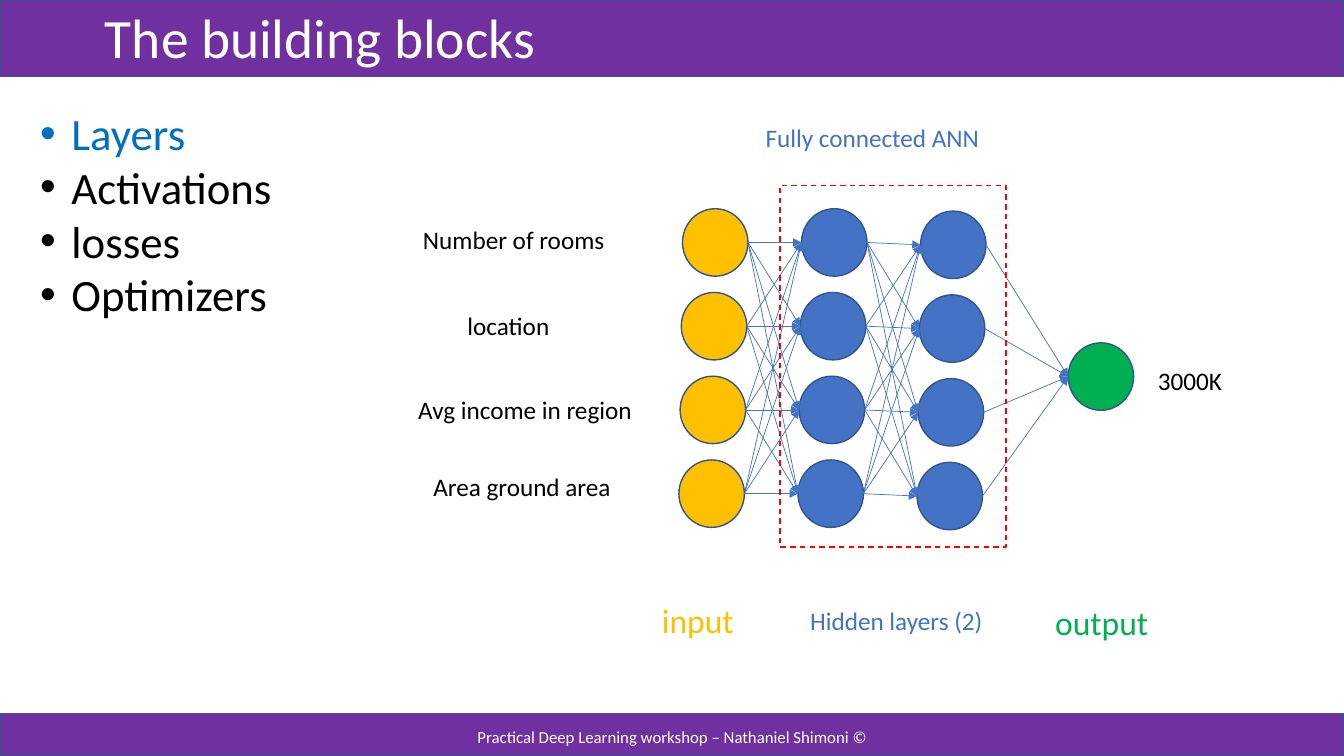
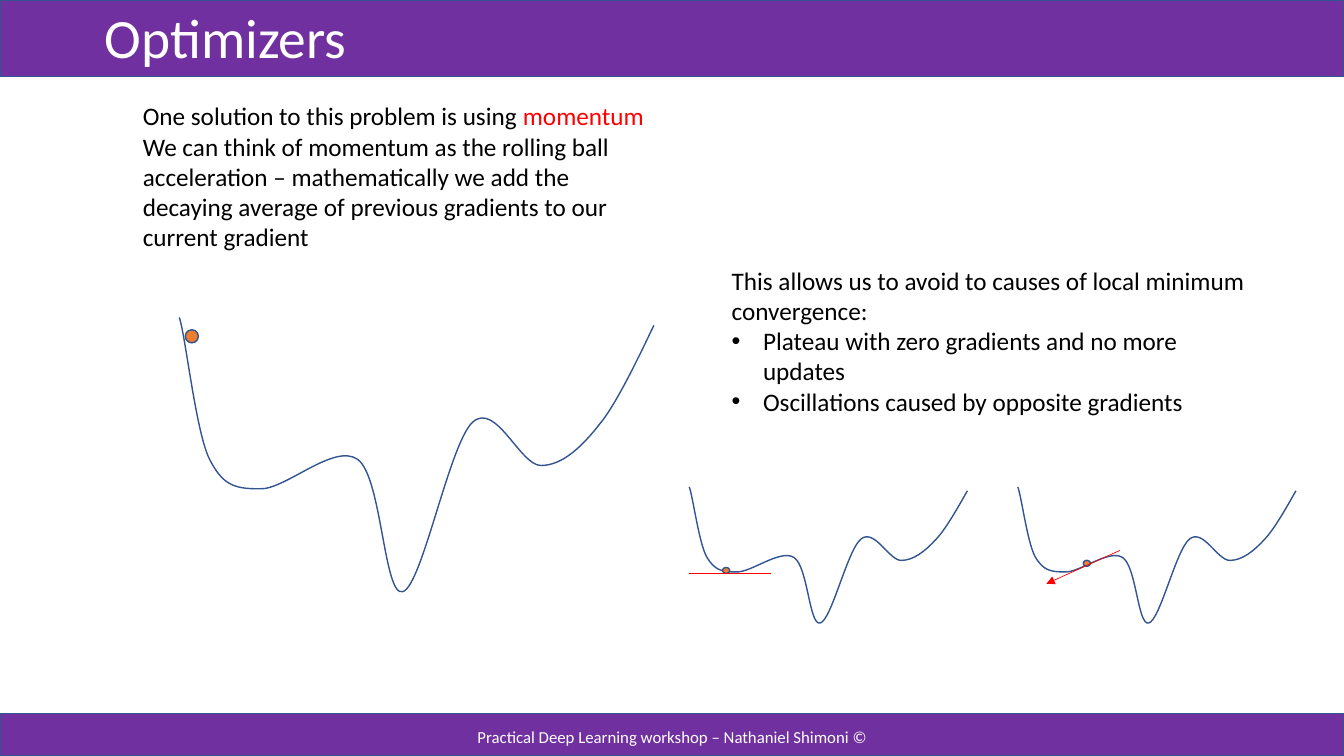
from itertools import pairwise, product

from lxml import etree
from pptx import Presentation
from pptx.dml.color import RGBColor
from pptx.enum.dml import MSO_LINE
from pptx.enum.shapes import MSO_CONNECTOR, MSO_SHAPE
from pptx.enum.text import MSO_ANCHOR, MSO_AUTO_SIZE, PP_ALIGN
from pptx.oxml.ns import qn
from pptx.util import Cm, Pt

RECT, OVAL = MSO_SHAPE.RECTANGLE, MSO_SHAPE.OVAL
STRAIGHT, DASH = MSO_CONNECTOR.STRAIGHT, MSO_LINE.DASH
LEFT, CENTER = PP_ALIGN.LEFT, PP_ALIGN.CENTER
TOP, MIDDLE = MSO_ANCHOR.TOP, MSO_ANCHOR.MIDDLE

FONT = "Calibri"
WHITE, BLACK, RED = "FFFFFF", "000000", "FF0000"
PURPLE, OUTLINE = "7030A0", "325491"
YELLOW, BLUE, GREEN, ORANGE = "FFC000", "4472C4", "00B050", "ED7D31"
HIGHLIGHT = "0070C0"

# All places and sizes are in centimetres.
SLIDE_W, SLIDE_H = 33.87, 19.05
BANDS = [(0, 17.98, SLIDE_W, 1.07), (0, 0, SLIDE_W, 1.93)]
TITLE_AT = (2.39, 0.41, 29.16, 1.24)
FOOTER_AT = (11.23, 18.24, 11.43, 0.66)
FOOTER = "Practical Deep Learning workshop – Nathaniel Shimoni ©"
INDENT = 0.79

NODE_W, NODE_H = 1.65, 1.7
ROWS = 4

# Cubic segments (two control points and an end), in thousandths of the box.
LOSS_CURVE = [
    ((13, 66), (34, 404), (62, 511)),
    ((91, 614), (117, 625), (170, 625)),
    ((223, 629), (327, 456), (376, 518)),
    ((427, 581), (431, 1022), (471, 1000)),
    ((512, 978), (569, 460), (618, 382)),
    ((667, 305), (718, 540), (762, 540)),
    ((807, 540), (849, 471), (887, 386)),
    ((928, 301), (992, 55), (1000, 29)),
]


def rgb(color):
    return RGBColor.from_string(color)


def cm(lengths):
    return [Cm(length) for length in lengths]


def style_font(font, size, color):
    font.name, font.size = FONT, Pt(size)
    font.color.rgb = rgb(color)


def add_bullet(paragraph):
    properties = paragraph._p.get_or_add_pPr()
    properties.set("marL", str(Cm(INDENT)))
    properties.set("indent", str(-Cm(INDENT)))
    etree.SubElement(properties, qn("a:buFont"), typeface="Arial")
    etree.SubElement(properties, qn("a:buChar"), char="•")


def add_text(slide, paragraphs, at, size=18, color=BLACK, align=LEFT,
             anchor=TOP, wrap=True, bullets_from=None):
    """Add a text box; a paragraph is a string or a list of (text, color)."""
    frame = slide.shapes.add_textbox(*cm(at)).text_frame
    frame.word_wrap, frame.vertical_anchor = wrap, anchor
    for index, content in enumerate(paragraphs):
        paragraph = frame.add_paragraph() if index else frame.paragraphs[0]
        paragraph.alignment = align
        if bullets_from is not None and index >= bullets_from:
            add_bullet(paragraph)
        runs = [(content, color)] if isinstance(content, str) else content
        for words, run_color in runs:
            run = paragraph.add_run()
            run.text = words
            style_font(run.font, size, run_color)


def style_shape(shape, fill=None, line=OUTLINE):
    shape.shadow.inherit = False
    if fill:
        shape.fill.solid()
        shape.fill.fore_color.rgb = rgb(fill)
    else:
        shape.fill.background()
    shape.line.color.rgb = rgb(line)
    shape.line.width = Pt(1)


def add_shape(slide, preset, at, **style):
    shape = slide.shapes.add_shape(preset, *cm(at))
    style_shape(shape, **style)
    return shape


def add_line(slide, start, end, color=BLUE, arrow=True):
    connector = slide.shapes.add_connector(STRAIGHT, *cm(start + end))
    connector.line.color.rgb = rgb(color)
    connector.line.width = Pt(0.5)
    if arrow:
        etree.SubElement(connector.line._get_or_add_ln(), qn("a:tailEnd"),
                         type="triangle")
    etree.SubElement(connector._element.spPr, qn("a:effectLst"))


def add_loss_curve(slide, left, top, width, height):
    scale = (Cm(width) / 1000, Cm(height) / 1000)
    builder = slide.shapes.build_freeform(0, 0, scale)
    builder.add_line_segments([end for _, _, end in LOSS_CURVE], close=False)
    curve = builder.convert_to_shape(Cm(left), Cm(top))
    style_shape(curve)
    segments = list(curve._element.iter(qn("a:lnTo")))
    for segment, (first, second, _) in zip(segments, LOSS_CURVE):
        segment.tag = qn("a:cubicBezTo")
        for position, (x, y) in enumerate((first, second)):
            control = etree.Element(qn("a:pt"), x=str(x), y=str(y))
            segment.insert(position, control)


def add_ball(slide, left, top, width, height):
    add_shape(slide, OVAL, (left, top, width, height), fill=ORANGE)


def set_up_layout(layout, scratch):
    """Put the title place and the bands, drawn on scratch, on the layout."""
    title = layout.placeholders[0]
    title.left, title.top, title.width, title.height = cm(TITLE_AT)
    for band_at in BANDS:
        band = add_shape(scratch, RECT, band_at, fill=PURPLE)
        layout.shapes._spTree.insert(2, band._element)


def dress_slide(slide, heading):
    title = slide.shapes.title
    title.left, title.top, title.width, title.height = cm(TITLE_AT)
    frame = title.text_frame
    frame.text = heading
    frame.auto_size, frame.vertical_anchor = MSO_AUTO_SIZE.NONE, MIDDLE
    paragraph = frame.paragraphs[0]
    paragraph.alignment, paragraph.line_spacing = LEFT, 0.9
    style_font(paragraph.runs[0].font, 39.6, WHITE)
    add_text(slide, [FOOTER], FOOTER_AT, size=12, color=WHITE,
             align=CENTER, anchor=MIDDLE)


def add_network(slide):
    """Draw the layers of nodes and join each node to all of the next layer."""
    layers = [
        [(left - 0.03 * row, top + 2.11 * row) for row in range(ROWS)]
        for left, top in ((17.2, 5.26), (20.2, 5.26), (23.2, 5.32))
    ] + [[(26.92, 8.64)]]
    for layer, color in zip(layers, (YELLOW, BLUE, BLUE, GREEN)):
        for node in layer:
            add_shape(slide, OVAL, node + (NODE_W, NODE_H), fill=color)
    for layer, following in pairwise(layers):
        for (x1, y1), (x2, y2) in product(layer, following):
            add_line(slide, (x1 + NODE_W, y1 + NODE_H / 2),
                     (x2, y2 + NODE_H / 2))
    hidden = add_shape(slide, RECT, (19.66, 4.67, 5.69, 9.12), line=RED)
    hidden.line.dash_style = DASH


def fill_building_blocks(slide):
    add_text(slide,
             [[("Layers", HIGHLIGHT)], "Activations", "losses", "Optimizers"],
             (0.76, 2.54, 8.46, 5.74), size=32, bullets_from=0)
    add_network(slide)
    add_text(slide, ["input"], (16.43, 14.99, 2.39, 1.27),
             size=24, color=YELLOW)
    add_text(slide, ["output"], (26.34, 15.04, 2.87, 1.27),
             size=24, color=GREEN)
    for caption, at in (
        ("Hidden layers (2)", (19.96, 15.14, 5.26, 1.02)),
        ("Fully connected ANN", (19, 2.97, 5.97, 1.02)),
    ):
        add_text(slide, [caption], at, color=BLUE, align=CENTER, wrap=False)
    for label, left, top, width in (
        ("Number of rooms", 10.41, 5.54, 5.13),
        ("location", 11.53, 7.7, 2.59),
        ("Avg income in region", 10.29, 9.8, 5.97),
        ("Area ground area", 10.67, 11.76, 5.03),
        ("3000K", 28.93, 9.07, 2.16),
    ):
        add_text(slide, [label], (left, top, width, 1.02), wrap=False)


def fill_optimizers(slide):
    add_text(slide, [
        [("One solution to this problem is using ", BLACK),
         ("momentum", RED)],
        "We can think of momentum as the rolling ball acceleration – "
        "mathematically we add the decaying average of previous gradients "
        "to our current gradient",
    ], (3.35, 2.41, 13.56, 4.11))
    add_text(slide, [
        "This allows us to avoid to causes of local minimum convergence:",
        "Plateau with zero gradients and no more updates",
        "Oscillations caused by opposite gradients",
    ], (18.19, 6.55, 13.56, 4.11), bullets_from=1)

    add_loss_curve(slide, 4.52, 8, 11.96, 6.91)
    add_ball(slide, 4.67, 8.31, 0.33, 0.33)
    for curve_left, ball_left, ball_top in (
        (17.37, 18.21, 14.3), (25.65, 27.3, 14.12),
    ):
        add_loss_curve(slide, curve_left, 12.27, 7.01, 3.43)
        add_ball(slide, ball_left, ball_top, 0.18, 0.15)
    add_line(slide, (17.37, 14.45), (19.43, 14.45), color=RED, arrow=False)
    add_line(slide, (28.22, 13.87), (26.37, 14.71), color=RED)


def main():
    deck = Presentation()
    deck.slide_width, deck.slide_height = Cm(SLIDE_W), Cm(SLIDE_H)
    title_only = deck.slide_layouts[5]
    blocks, optimizers = (deck.slides.add_slide(title_only) for _ in range(2))
    set_up_layout(title_only, blocks)
    dress_slide(blocks, "The building blocks")
    fill_building_blocks(blocks)
    dress_slide(optimizers, "Optimizers")
    fill_optimizers(optimizers)
    deck.save("out.pptx")


if __name__ == "__main__":
    main()
